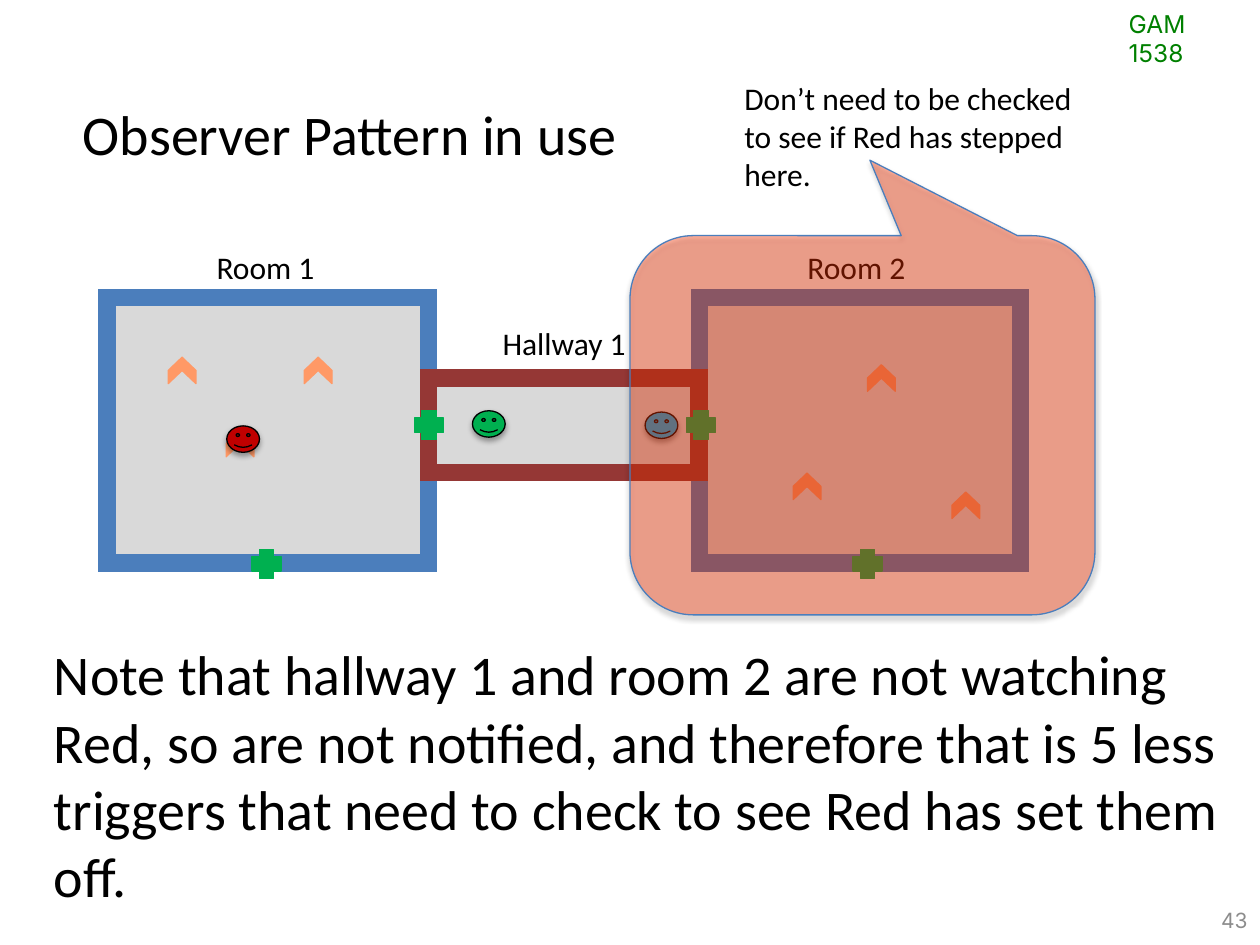
from lxml import etree
from pptx import Presentation
from pptx.dml.color import RGBColor
from pptx.enum import shapes, text
from pptx.oxml import ns
from pptx.util import Inches, Pt

KIND = shapes.MSO_SHAPE
GREEN = "00B050"
BLUE = "4B7EBC"
ORANGE = "FF9966"


def color(value):
    return RGBColor.from_string(value)


def add_child(parent, tag, **attributes):
    return etree.SubElement(parent, ns.qn(tag), attributes)


def add_text(page, place, lines, size, font="Calibri", ink="000000",
             wrap=False, align=text.PP_ALIGN.LEFT, anchor=text.MSO_ANCHOR.TOP):
    box = page.shapes.add_textbox(*map(Inches, place))
    frame = box.text_frame
    frame.word_wrap = wrap
    frame.vertical_anchor = anchor
    for index, line in enumerate(lines):
        para = frame.add_paragraph() if index else frame.paragraphs[0]
        para.alignment = align
        span = para.add_run()
        span.text = line
        span.font.size = Pt(size)
        span.font.name = font
        span.font.color.rgb = color(ink)
    return box


def add_figure(page, kind, place, fill, line, width=0.75):
    figure = page.shapes.add_shape(kind, *map(Inches, place))
    figure.shadow.inherit = False
    figure.fill.solid()
    figure.fill.fore_color.rgb = color(fill)
    figure.line.color.rgb = color(line)
    figure.line.width = Pt(width)
    return figure


def add_shadow(figure):
    effects = figure._element.spPr.find(ns.qn("a:effectLst"))
    shadow = add_child(effects, "a:outerShdw", blurRad=str(Pt(3.1)),
                       dist=str(Pt(1.8)), dir="5400000", rotWithShape="0")
    black = add_child(shadow, "a:srgbClr", val="000000")
    add_child(black, "a:alpha", val="35000")


def add_area(page, place, line):
    area = add_figure(page, KIND.RECTANGLE, place, "D9D9D9", line, 10)
    outline = area._element.spPr.find(ns.qn("a:ln"))
    add_child(outline, "a:miter", lim="800000")


def add_door(page, left, top):
    add_figure(page, KIND.CROSS, (left, top, 0.23, 0.23), GREEN, GREEN)


def add_trigger(page, left, top):
    trigger = add_figure(page, KIND.CHEVRON, (left, top, 0.21, 0.22), ORANGE, ORANGE)
    trigger.rotation = 270


def add_player(page, left, top, fill):
    player = add_figure(page, KIND.SMILEY_FACE, (left, top, 0.26, 0.21), fill, "000000")
    add_shadow(player)


def add_callout(page):
    callout = add_figure(page, KIND.ROUNDED_RECTANGULAR_CALLOUT,
                         (5, 1.87, 3.69, 3.01), "FF3300", BLUE)
    for index, value in enumerate((0.016, -0.699, 0.167)):
        callout.adjustments[index] = value
    tint = callout._element.spPr.find(ns.qn("a:solidFill"))[0]
    add_child(tint, "a:alpha", val="38000")
    add_shadow(callout)


def add_map(page):
    for left in (0.85, 5.55):
        add_area(page, (left, 2.36, 2.55, 2.11), BLUE)
    add_area(page, (3.4, 3, 2.15, 0.75), "953735")
    for left, top in ((3.29, 3.26), (2, 4.36), (6.77, 4.36)):
        add_door(page, left, top)
    for left, top in ((1.34, 2.83), (1.8, 3.41), (2.42, 2.83),
                      (6.3, 3.75), (6.89, 2.89), (7.56, 3.9)):
        add_trigger(page, left, top)
    for left, top, fill in ((1.8, 3.38, "C00000"), (3.75, 3.26, GREEN),
                            (5.12, 3.27, "00B0F0")):
        add_player(page, left, top, fill)
    add_door(page, 5.45, 3.26)
    for left, top, width, name in ((6.31, 1.92, 0.99, "Room 2"),
                                   (1.62, 1.92, 0.99, "Room 1"),
                                   (3.89, 2.52, 1.19, "Hallway 1")):
        add_text(page, (left, top, width, 0.4), [name], 18)


def main():
    deck = Presentation()
    deck.slide_width, deck.slide_height = Inches(10), Inches(7.5)
    page = deck.slides.add_slide(deck.slide_layouts[6])
    course = add_text(page, (8.86, 0.02, 1.14, 0.34), ["GAM 1538"], 14,
                      "Inter", "008000", wrap=True)
    course.text_frame.margin_right = Inches(0.3)
    add_text(page, (7.67, 7.1, 2.33, 0.4), ["43"], 12, "Inter", "8C8C8C",
             wrap=True, align=text.PP_ALIGN.RIGHT, anchor=text.MSO_ANCHOR.MIDDLE)
    add_text(page, (0.56, 0.74, 9, 1.18), ["Observer Pattern in use"], 32, wrap=True)
    add_map(page)
    add_text(page, (0.33, 5.03, 9.53, 2.26), [
        "Note that hallway 1 and room 2 are not watching",
        "Red, so are not notified, and therefore that is 5 less",
        "triggers that need to check to see Red has set them",
        "off."], 32)
    add_text(page, (5.81, 0.58, 2.83, 1.01), [
        "Don’t need to be checked",
        "to see if Red has stepped",
        "here."], 18)
    add_callout(page)
    deck.save("out.pptx")


main()
